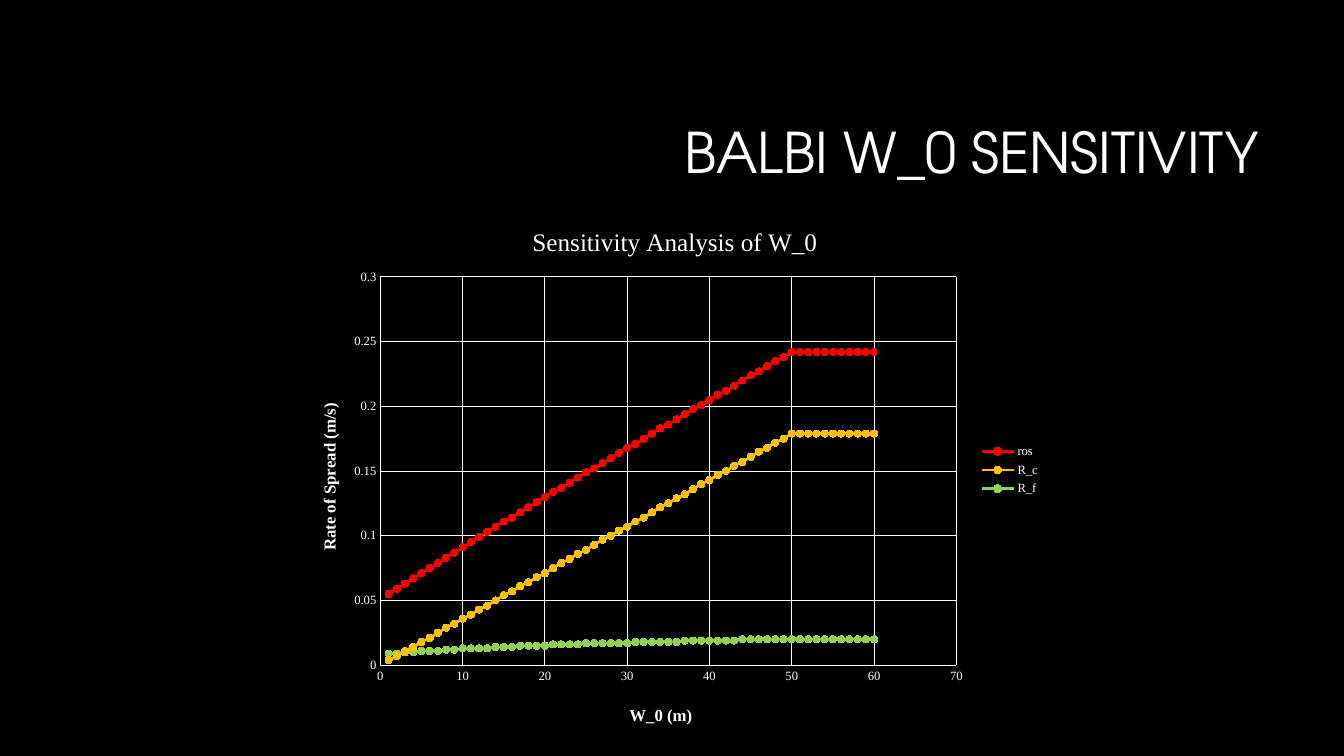
"""Build the slide on the sensitivity of the Balbi model to W_0."""
from lxml import etree
from pptx import Presentation
from pptx.chart.data import XyChartData
from pptx.dml.color import RGBColor
from pptx.enum.chart import XL_CHART_TYPE, XL_LEGEND_POSITION, XL_MARKER_STYLE, XL_TICK_MARK
from pptx.enum.text import MSO_ANCHOR, PP_ALIGN
from pptx.oxml.ns import qn
from pptx.util import Cm, Pt

SCATTER_LINES = XL_CHART_TYPE.XY_SCATTER_LINES
LEGEND_RIGHT = XL_LEGEND_POSITION.RIGHT
CIRCLE = XL_MARKER_STYLE.CIRCLE
NO_TICK = XL_TICK_MARK.NONE
MIDDLE = MSO_ANCHOR.MIDDLE
RIGHT = PP_ALIGN.RIGHT

COLORS = {
    "background": "000000",
    "text": "FFFFFF",
    "ros": "FF0000",
    "R_c": "FFC000",
    "R_f": "92D050",
}
TITLE_FONT = "TeX Gyre Adventor"
CHART_FONT = "Times New Roman"

SPREAD_RATES = {
    "ros": [
        0.055, 0.059, 0.063, 0.067, 0.071, 0.075, 0.079, 0.083, 0.087, 0.091,
        0.095, 0.099, 0.103, 0.107, 0.111, 0.114, 0.118, 0.122, 0.126, 0.13,
        0.134, 0.137, 0.141, 0.145, 0.149, 0.152, 0.156, 0.16, 0.164, 0.168,
        0.171, 0.175, 0.179, 0.183, 0.186, 0.19, 0.194, 0.198, 0.201, 0.205,
        0.209, 0.212, 0.216, 0.22, 0.224, 0.227, 0.231, 0.235, 0.238,
    ] + [0.242] * 11,
    "R_c": [
        0.004, 0.007, 0.011, 0.014, 0.018, 0.021, 0.025, 0.029, 0.032, 0.036,
        0.039, 0.043, 0.046, 0.05, 0.054, 0.057, 0.061, 0.064, 0.068, 0.071,
        0.075, 0.079, 0.082, 0.086, 0.089, 0.093, 0.097, 0.1, 0.104, 0.107,
        0.111, 0.114, 0.118, 0.122, 0.125, 0.129, 0.132, 0.136, 0.14, 0.143,
        0.147, 0.15, 0.154, 0.157, 0.161, 0.165, 0.168, 0.172, 0.175,
    ] + [0.179] * 11,
    "R_f": [
        0.009, 0.009, 0.01, 0.01, 0.011, 0.011, 0.011, 0.012, 0.012, 0.013,
        0.013, 0.013, 0.013, 0.014, 0.014, 0.014, 0.015, 0.015, 0.015, 0.015,
    ] + [0.016] * 4 + [0.017] * 6 + [0.018] * 6 + [0.019] * 7 + [0.02] * 17,
}


def color(name):
    """Return the named colour."""
    return RGBColor.from_string(COLORS[name])


def format_font(font, size, name=CHART_FONT, bold=False):
    """Set the typeface, size, weight and colour of a font."""
    font.name = name
    font.size = Pt(size)
    font.bold = bold
    font.color.rgb = color("text")


def write_text(text_frame, text, size, name=CHART_FONT, bold=False, align=None, spacing=None):
    """Write one formatted paragraph into a text frame."""
    paragraph = text_frame.paragraphs[0]
    paragraph.alignment = align
    paragraph.line_spacing = spacing
    run = paragraph.add_run()
    run.text = text
    format_font(run.font, size, name, bold)


def place(element, index, **settings):
    """Give a chart part a manual layout as fractions of the chart."""
    for layout in element.findall(qn("c:layout")):
        element.remove(layout)
    layout = etree.Element(qn("c:layout"))
    manual = etree.SubElement(layout, qn("c:manualLayout"))
    for tag, value in settings.items():
        etree.SubElement(manual, qn(f"c:{tag}")).set("val", str(value))
    element.insert(index, layout)


def add_chart_title(title, text, size, left, top, bold=False):
    """Write a chart or axis title and place its top left corner."""
    write_text(title.text_frame, text, size, bold=bold)
    place(title._element, 1, xMode="edge", yMode="edge", x=left, y=top)


def format_line(line, name, width):
    """Set the colour and width of a line."""
    line.color.rgb = color(name)
    line.width = Pt(width)


def format_axis(axis, maximum, step):
    """Set the scale, lines and labels of an axis."""
    axis.minimum_scale = 0
    axis.maximum_scale = maximum
    axis.major_unit = step
    axis.major_tick_mark = axis.minor_tick_mark = NO_TICK
    axis.has_major_gridlines = True
    format_line(axis.format.line, "text", 0.75)
    format_line(axis.major_gridlines.format.line, "text", 0.75)
    format_font(axis.tick_labels.font, 9)


def format_series(series):
    """Draw a series as a straight line with round markers."""
    series.smooth = False
    format_line(series.format.line, series.name, 2)
    series.marker.style = CIRCLE
    series.marker.size = 5
    series.marker.format.fill.solid()
    series.marker.format.fill.fore_color.rgb = color(series.name)
    format_line(series.marker.format.line, series.name, 0.75)


def add_slide_title(slide, text):
    """Add the right-aligned slide title."""
    box = slide.shapes.add_textbox(Cm(8.05), Cm(2.13), Cm(23.93), Cm(3.58))
    box.text_frame.word_wrap = True
    box.text_frame.vertical_anchor = MIDDLE
    write_text(box.text_frame, text, 40, name=TITLE_FONT, align=RIGHT, spacing=0.9)


def add_sensitivity_chart(slide):
    """Add the scatter chart of spread rates against W_0."""
    data = XyChartData()
    for name, rates in SPREAD_RATES.items():
        series = data.add_series(name)
        for width, rate in enumerate(rates, start=1):
            series.add_data_point(width, rate)
    frame = slide.shapes.add_chart(
        SCATTER_LINES, Cm(7.39), Cm(5.05), Cm(19.08), Cm(13.59), data)
    chart = frame.chart
    format_font(chart.font, 10)
    chart.has_title = True
    add_chart_title(chart.chart_title, "Sensitivity Analysis of W_0", 18, 0.31, 0.04)

    width_axis, rate_axis = chart.category_axis, chart.value_axis
    format_axis(width_axis, 70, 10)
    format_axis(rate_axis, 0.3, 0.05)
    add_chart_title(width_axis.axis_title, "W_0 (m)", 12, 0.44, 0.93, bold=True)
    add_chart_title(rate_axis.axis_title, "Rate of Spread (m/s)", 12, 0.03, 0.37, bold=True)
    body = rate_axis.axis_title._element.find(".//" + qn("a:bodyPr"))
    body.set("rot", "-5400000")
    body.set("vert", "horz")

    plot = chart.plots[0]
    plot.vary_by_categories = False
    for series in plot.series:
        format_series(series)
    plot_area = chart._chartSpace.find(".//" + qn("c:plotArea"))
    place(plot_area, 0, layoutTarget="inner", xMode="edge", yMode="edge",
          x=0.115, y=0.142, w=0.761, h=0.72)

    chart.has_legend = True
    chart.legend.position = LEGEND_RIGHT
    chart.legend.include_in_layout = False
    format_font(chart.legend.font, 9)


def main():
    """Build and save the presentation."""
    presentation = Presentation()
    presentation.slide_width = Cm(33.87)
    presentation.slide_height = Cm(19.05)
    slide = presentation.slides.add_slide(presentation.slide_layouts[6])
    slide.background.fill.solid()
    slide.background.fill.fore_color.rgb = color("background")
    add_slide_title(slide, "BALBI W_0 SENSITIVITY")
    add_sensitivity_chart(slide)
    presentation.save("out.pptx")


if __name__ == "__main__":
    main()
